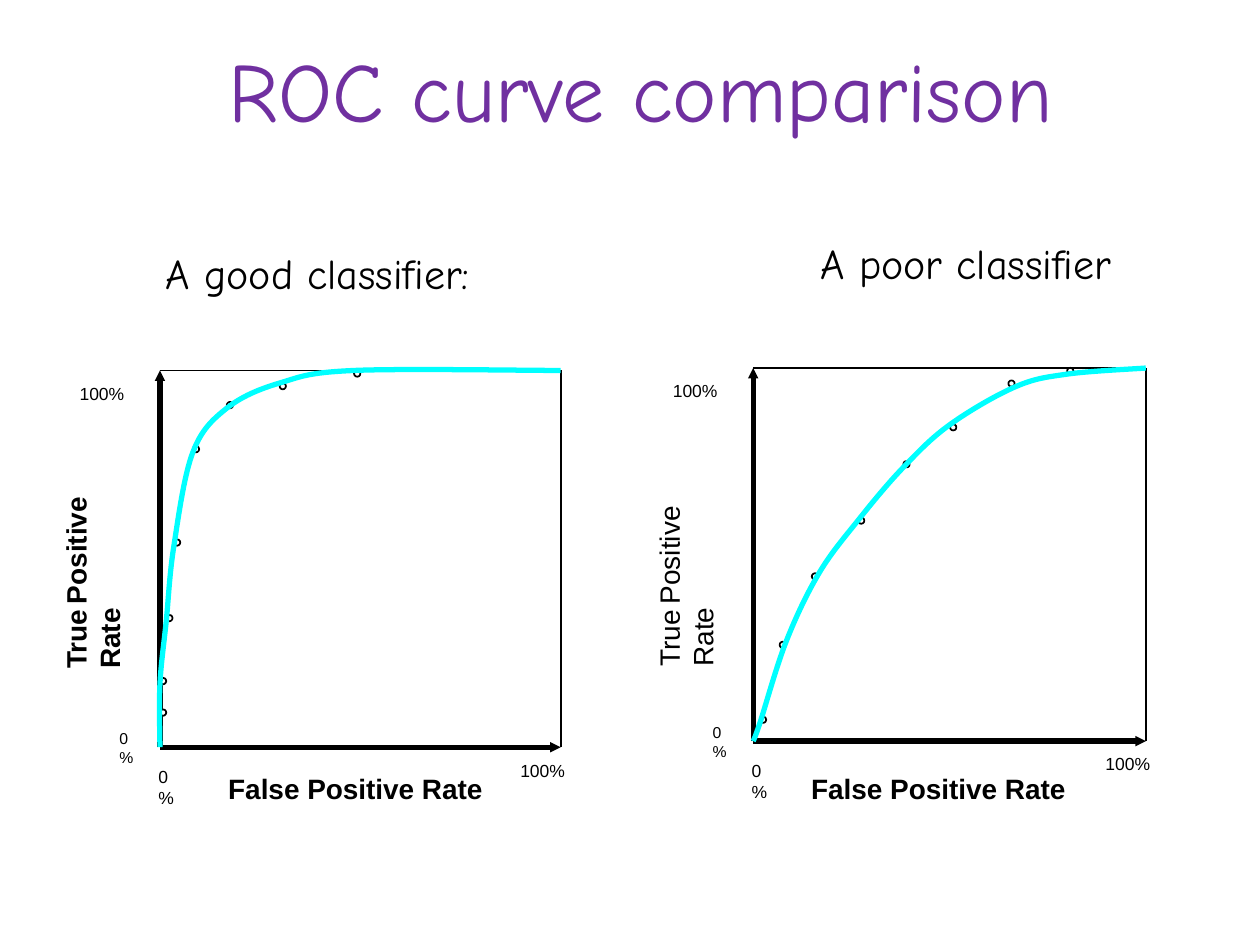
from dataclasses import dataclass

from lxml import etree
from pptx import Presentation
from pptx import util as u
from pptx.dml.color import RGBColor
from pptx.enum import shapes, text
from pptx.oxml import ns


@dataclass(frozen=True)
class Theme:
    ink: str = "000000"
    paper: str = "FFFFFF"
    title: str = "7030A0"
    curve: str = "00FFFF"
    heading_font: str = "Comic Neue"
    label_font: str = "Arial"
    title_size: int = 48
    heading_size: int = 24
    axis_size: int = 16
    gap_size: int = 12
    tick_size: int = 10
    small_tick_size: int = 9


THEME = Theme()
THIN, THICK, DOT = 1, 3, 3.6

# Frames are left, top, right, bottom; knots run from the top right corner.
GOOD = dict(
    frame=(91.4, 211.7, 320.4, 427), y_bold=True, x_title=(123.3, 166.3),
    markers=[(202.3, 211.7), (159.8, 218.9), (129.6, 229.7), (110.2, 254.9),
             (99.4, 308.2), (95, 351.4), (91.4, 387.4), (91.4, 405.4)],
    knots=[(320.4, 211.7), (202.3, 211.7), (159.8, 218.9), (129.6, 233.3),
           (110.2, 258.5), (99.4, 311.8), (95, 355), (91.4, 391), (91.4, 427)])
POOR = dict(
    frame=(430.4, 210.3, 654.8, 423.5), y_bold=False, x_title=(456.4, 173.5),
    markers=[(609.8, 210.2), (576.2, 217.4), (542.9, 242.4), (516.2, 263.5),
             (490.3, 295.7), (463.9, 327.6), (445.5, 366.7), (434.2, 409.5)],
    knots=[(654.8, 210.3), (609.8, 213.8), (580.3, 221), (542.9, 242.6),
           (516.2, 267.1), (490.3, 297.4), (468, 327.6), (449.3, 366.5),
           (434.2, 413.3), (430.4, 423.5)])


def rgb(value):
    return RGBColor.from_string(value)


def add_text(parent, box, runs, font=THEME.label_font, color=THEME.ink,
             align=None, rotation=0, grow=True):
    """Add a text box; runs are (text, size, bold)."""
    sp = parent.add_textbox(*map(u.Pt, box))
    sp.rotation = rotation
    tf = sp.text_frame
    tf.word_wrap = True
    if grow:
        tf.auto_size = text.MSO_AUTO_SIZE.SHAPE_TO_FIT_TEXT
    else:
        tf.vertical_anchor = text.MSO_ANCHOR.MIDDLE
    p = tf.paragraphs[0]
    p.alignment = align
    for words, size, bold in runs:
        r = p.add_run()
        r.text = words
        r.font.name, r.font.size, r.font.bold = font, u.Pt(size), bold
        r.font.color.rgb = rgb(color)


def add_line(parent, start, end, width, arrow=False):
    sp = parent.add_connector(shapes.MSO_CONNECTOR.STRAIGHT,
                              *map(u.Pt, (*start, *end)))
    sp.line.color.rgb = rgb(THEME.ink)
    sp.line.width = u.Pt(width)
    if arrow:
        ln = sp._element.spPr.find(ns.qn("a:ln"))
        etree.SubElement(ln, ns.qn("a:tailEnd"),
                         type="triangle", w="sm", len="sm")
    etree.SubElement(sp._element.spPr, ns.qn("a:effectLst"))


def add_marker(parent, x, y):
    sp = parent.add_shape(shapes.MSO_SHAPE.OVAL,
                          *map(u.Pt, (x, y, DOT, DOT)))
    sp.shadow.inherit = False
    sp.fill.solid()
    sp.fill.fore_color.rgb = rgb(THEME.paper)
    sp.line.color.rgb = rgb(THEME.ink)
    sp.line.width = u.Pt(THIN)


def bend_segments(sp):
    """Turn a freeform's straight segments into smooth Bézier curves."""
    points = [(int(pt.get("x")), int(pt.get("y")))
              for pt in sp._element.iter(ns.qn("a:pt"))]
    padded = [points[0], *points, points[-1]]
    segments = list(sp._element.iter(ns.qn("a:lnTo")))
    for seg, a, b, c, d in zip(segments, padded, padded[1:],
                               padded[2:], padded[3:]):
        first = [q + (r - p) / 6 for p, q, r in zip(a, b, c)]
        second = [r - (s - q) / 6 for q, r, s in zip(b, c, d)]
        bend = etree.Element(ns.qn("a:cubicBezTo"))
        for x, y in (first, second, c):
            etree.SubElement(bend, ns.qn("a:pt"),
                             x=str(round(x)), y=str(round(y)))
        seg.getparent().replace(seg, bend)


def add_curve(parent, knots):
    start, *rest = [tuple(map(u.Pt, knot)) for knot in knots]
    builder = parent.build_freeform(*start)
    builder.add_line_segments(rest, close=False)
    sp = builder.convert_to_shape()
    bend_segments(sp)
    sp.shadow.inherit = False
    sp.fill.background()
    sp.line.color.rgb = rgb(THEME.curve)
    sp.line.width = u.Pt(THICK)


def add_roc_plot(slide, frame, y_bold, x_title, markers, knots):
    group = slide.shapes.add_group_shape().shapes
    left, top, right, bottom = frame

    # Frame and axes
    add_line(group, (left, top), (right, top), THIN)
    add_line(group, (right, top), (right, bottom), THIN)
    add_line(group, (left, bottom), (left, top), THICK, arrow=True)
    add_line(group, (left, bottom), (right, bottom), THICK, arrow=True)

    # Axis titles
    big, gap = THEME.axis_size, THEME.gap_size
    add_text(group, (left - 102.6, top + 90.3, 128.5, 46.1),
             [("True", big, y_bold), (" ", gap, False),
              ("Positive", big, y_bold), (" ", gap, False),
              ("Rate", big, y_bold)], rotation=270)
    x, width = x_title
    add_text(group, (x, 437.5, width, 26.6),
             [("False Positive Rate", big, True)])

    # Tick labels
    tick, small = THEME.tick_size, THEME.small_tick_size
    for words, size, box in [
            ("0%", small, (left - 30.3, bottom - 14.2, 26.2, 28.8)),
            ("100%", tick, (left - 53, top + 3.6, 49.3, 19.4)),
            ("0%", tick, (left - 8, bottom + 7, 26.2, 31)),
            ("100%", tick, (right - 30.2, bottom + 3.5, 41.4, 19.4))]:
        add_text(group, box, [(words, size, False)])

    # Measured points under the curve
    for x, y in markers:
        add_marker(group, x, y)
    add_curve(group, knots)


def main():
    prs = Presentation()
    prs.slide_width, prs.slide_height = u.Pt(720), u.Pt(540)
    slide = prs.slides.add_slide(prs.slide_layouts[6])

    # Plots
    for plot in (POOR, GOOD):
        add_roc_plot(slide, **plot)

    # Headings
    for words, box in [("A good classifier:", (87.8, 138.2, 230.4, 36)),
                       ("A poor classifier", (461.9, 132.2, 234, 36))]:
        add_text(slide.shapes, box, [(words, THEME.heading_size, False)],
                 font=THEME.heading_font)

    # Title
    add_text(slide.shapes, (60, 6, 612, 90),
             [("ROC curve comparison", THEME.title_size, False)],
             font=THEME.heading_font, color=THEME.title,
             align=text.PP_ALIGN.CENTER, grow=False)

    prs.save("out.pptx")


if __name__ == "__main__":
    main()
